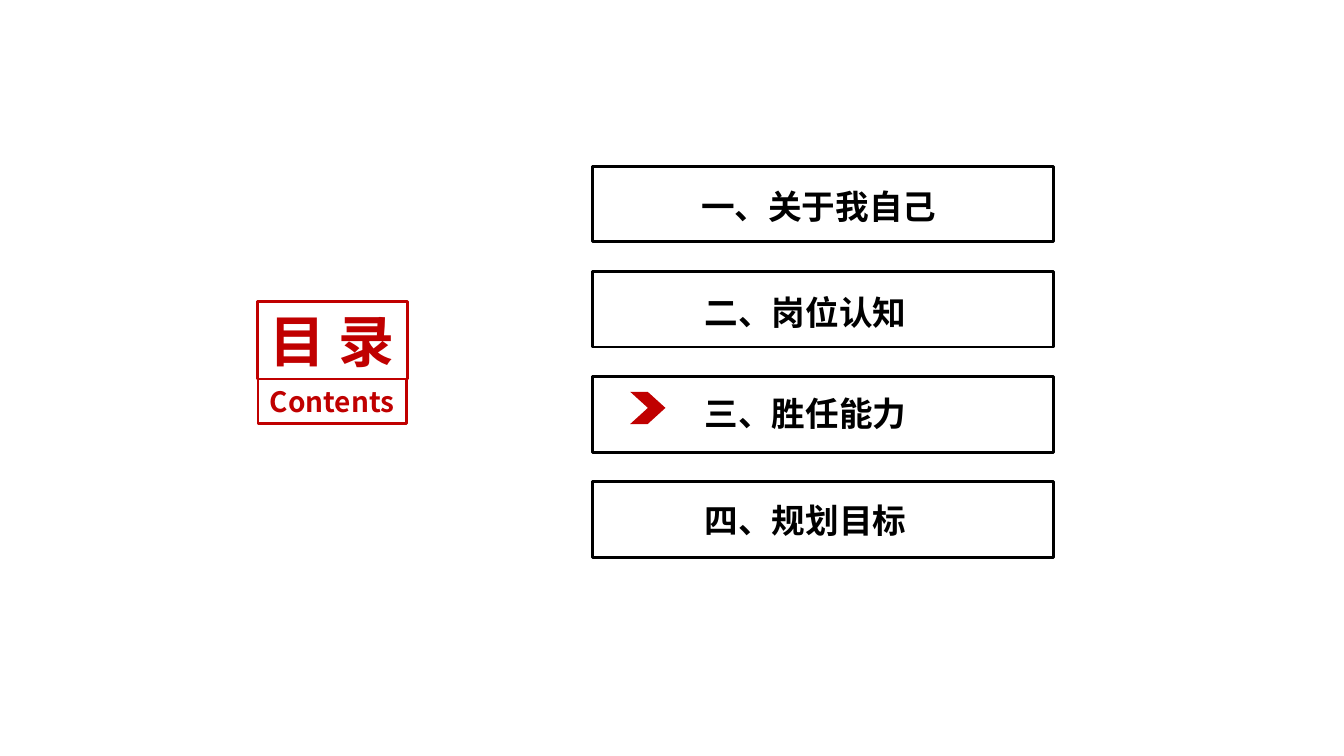
from dataclasses import dataclass

from pptx import Presentation
from pptx import util as u
from pptx.dml.color import RGBColor
from pptx.enum import shapes, text
from pptx.oxml.ns import qn


@dataclass(frozen=True)
class Theme:
    font: str = "Noto Sans CJK SC"
    red: str = "C00000"
    black: str = "000000"
    white: str = "FFFFFF"
    title: int = 40
    subtitle: int = 20
    item: int = 24
    border: int = 2


T = Theme()
RECT = shapes.MSO_SHAPE.RECTANGLE
CHEVRON = shapes.MSO_SHAPE.CHEVRON

# Label, and its left, top and width relative to its frame
ITEMS = [
    ("一、关于我自己", 1.0, 0.16, 2.48),
    ("二、岗位认知", 1.04, 0.17, 2.14),
    ("三、胜任能力", 1.04, 0.13, 2.14),
    ("四、规划目标", 1.04, 0.15, 2.14),
]
CURRENT = 2


def add_shape(s, kind, box, fill, line=None):
    sp = s.shapes.add_shape(kind, *map(u.Inches, box))
    sp.shadow.inherit = False
    sp.fill.solid()
    sp.fill.fore_color.rgb = RGBColor.from_string(fill)
    if line:
        sp.line.color.rgb = RGBColor.from_string(line)
        sp.line.width = u.Pt(T.border)
    else:
        sp.line.fill.background()
    return sp


def write(sp, words, size, color, inset_x, inset_y):
    tf = sp.text_frame
    frame_format = {
        "word_wrap": False,
        "auto_size": text.MSO_AUTO_SIZE.NONE,
        "vertical_anchor": text.MSO_ANCHOR.MIDDLE,
        "margin_left": u.Inches(inset_x),
        "margin_right": u.Inches(inset_x),
        "margin_top": u.Inches(inset_y),
        "margin_bottom": u.Inches(inset_y),
    }
    for name, value in frame_format.items():
        setattr(tf, name, value)
    p = tf.paragraphs[0]
    p.alignment = text.PP_ALIGN.CENTER
    r = p.add_run()
    r.text = words
    for name, value in {"name": T.font, "size": u.Pt(size), "bold": True}.items():
        setattr(r.font, name, value)
    r.font.color.rgb = RGBColor.from_string(color)
    # Chinese characters take the East Asian typeface
    ea = r.font._element.makeelement(qn("a:ea"), {"typeface": T.font})
    r.font._element.find(qn("a:latin")).addnext(ea)


def add_heading(s, x, y, w, h):
    """Red title frame with its subtitle frame below."""
    title_h = 0.77
    parts = [
        ("目 录", T.title, (x, y, w, title_h)),
        ("Contents", T.subtitle, (x + 0.01, y + title_h, w - 0.02, h - title_h)),
    ]
    for words, size, box in parts:
        sp = add_shape(s, RECT, box, T.white, T.red)
        write(sp, words, size, T.red, 0.1, 0.05)


def add_contents(s, x, y, w, h):
    """Evenly spaced frames, their labels and the current-section marker."""
    frame_h, label_h = 0.75, 0.46
    pitch = (h - frame_h) / (len(ITEMS) - 1)
    for i, (words, dx, dy, label_w) in enumerate(ITEMS):
        top = y + i * pitch
        add_shape(s, RECT, (x, top, w, frame_h), T.white, T.black)
        box = (x + dx, top + dy, label_w, label_h)
        label = s.shapes.add_textbox(*map(u.Inches, box))
        write(label, words, T.item, T.black, 0.06, 0.03)
    marker_box = (x + 0.37, y + CURRENT * pitch + 0.15, 0.35, 0.32)
    marker = add_shape(s, CHEVRON, marker_box, T.red)
    marker.adjustments[0] = 0.55


def main():
    prs = Presentation()
    prs.slide_width, prs.slide_height = u.Inches(13.33), u.Inches(7.5)
    s = prs.slides.add_slide(prs.slide_layouts[6])
    add_heading(s, 2.55, 2.99, 1.49, 1.21)
    add_contents(s, 5.88, 1.65, 4.57, 3.88)
    prs.save("out.pptx")


if __name__ == "__main__":
    main()
